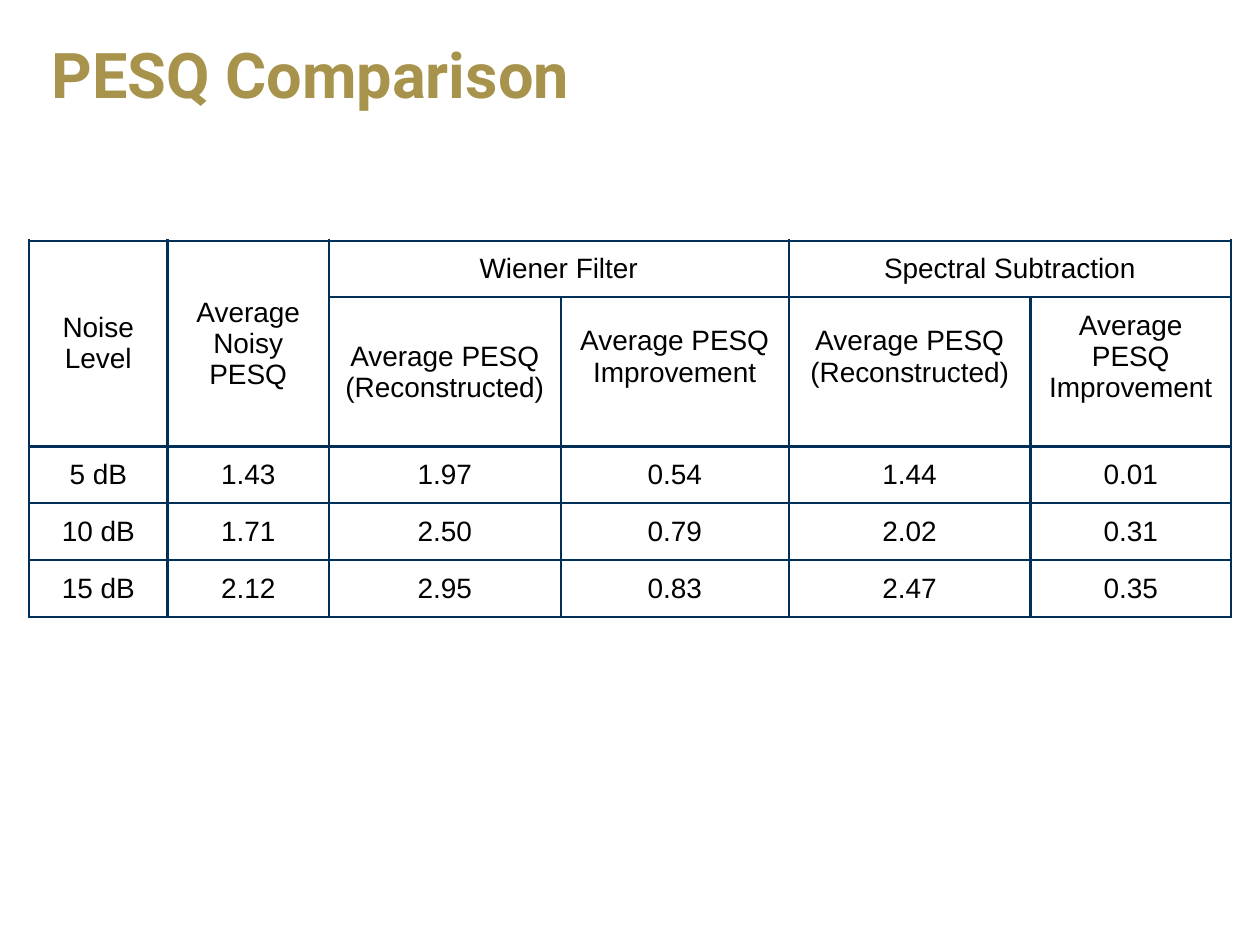
from dataclasses import dataclass

from lxml import etree
from pptx import Presentation
from pptx import util as u
from pptx.dml.color import RGBColor
from pptx.enum import text
from pptx.oxml import ns

GOLD = RGBColor(0xA7, 0x93, 0x4B)
NAVY = RGBColor(0x00, 0x30, 0x57)
BLACK = RGBColor(0, 0, 0)
WHITE = RGBColor(255, 255, 255)

SLIDE_WIDTH, SLIDE_HEIGHT = u.Inches(10), u.Inches(7.5)
COLUMN_SHARES = (0.11, 0.128, 0.184, 0.181, 0.192, 0.159)
ROW_SHARES = (0.06, 0.158, 0.06, 0.06, 0.06)
BORDER_WIDTH = u.Pt(1.5)
PADDING = u.Inches(0.1)
RAISED = u.Inches(0.34)

TITLE_FONT = {"name": "Roboto", "size": u.Pt(36), "bold": True}
CELL_FONT = {"name": "Arial", "size": u.Pt(16), "bold": False}
CELL_LAYOUT = {
    "margin_left": PADDING, "margin_right": PADDING,
    "margin_top": PADDING, "margin_bottom": PADDING,
    "vertical_anchor": text.MSO_ANCHOR.MIDDLE,
}
TITLE_LAYOUT = {
    "margin_left": PADDING, "margin_right": PADDING,
    "margin_top": u.Inches(0.05), "margin_bottom": u.Inches(0.05),
    "vertical_anchor": text.MSO_ANCHOR.TOP, "word_wrap": True,
    "auto_size": text.MSO_AUTO_SIZE.NONE,
}


@dataclass(frozen=True)
class Heading:
    label: str
    row: int
    column: int
    rows: int = 1
    columns: int = 1
    bottom: int = PADDING


RECONSTRUCTED = "Average PESQ (Reconstructed)"
IMPROVEMENT = "Average PESQ Improvement"
HEADINGS = (
    Heading("Noise Level", 0, 0, rows=2),
    Heading("Average Noisy PESQ", 0, 1, rows=2),
    Heading("Wiener Filter", 0, 2, columns=2),
    Heading("Spectral Subtraction", 0, 4, columns=2),
    Heading(RECONSTRUCTED, 1, 2),
    Heading(IMPROVEMENT, 1, 3, bottom=RAISED),
    Heading(RECONSTRUCTED, 1, 4, bottom=RAISED),
    Heading(IMPROVEMENT, 1, 5, bottom=RAISED),
)
RESULTS = (
    ("5 dB", "1.43", "1.97", "0.54", "1.44", "0.01"),
    ("10 dB", "1.71", "2.50", "0.79", "2.02", "0.31"),
    ("15 dB", "2.12", "2.95", "0.83", "2.47", "0.35"),
)


def apply(target, values: dict) -> None:
    for name, value in values.items():
        setattr(target, name, value)


def write(frame, label: str, font: dict, color: RGBColor, align) -> None:
    para = frame.paragraphs[0]
    para.alignment = align
    span = para.add_run()
    span.text = label
    apply(span.font, font)
    span.font.color.rgb = color


def add_borders(cell) -> None:
    properties = cell._tc.get_or_add_tcPr()
    for position, side in enumerate(("lnL", "lnR", "lnT", "lnB")):
        line = etree.Element(ns.qn(f"a:{side}"), w=str(BORDER_WIDTH))
        fill = etree.SubElement(line, ns.qn("a:solidFill"))
        etree.SubElement(fill, ns.qn("a:srgbClr"), val=str(NAVY))
        properties.insert(position, line)


def add_title(page, label: str) -> None:
    title = page.shapes.title
    apply(title, {
        "left": int(SLIDE_WIDTH * 0.031), "top": int(SLIDE_HEIGHT * 0.031),
        "width": int(SLIDE_WIDTH * 0.938), "height": int(SLIDE_HEIGHT * 0.147),
    })
    apply(title.text_frame, TITLE_LAYOUT)
    write(title.text_frame, label, TITLE_FONT, GOLD, text.PP_ALIGN.LEFT)


def add_results(page) -> None:
    widths = [int(SLIDE_WIDTH * share) for share in COLUMN_SHARES]
    heights = [int(SLIDE_HEIGHT * share) for share in ROW_SHARES]
    table = page.shapes.add_table(
        len(heights), len(widths), u.Inches(0.23), u.Inches(1.91),
        sum(widths), sum(heights),
    ).table
    apply(table, {"first_row": False, "horz_banding": False})
    for column, width in zip(table.columns, widths):
        column.width = width
    for row, height in zip(table.rows, heights):
        row.height = height

    for cell in table.iter_cells():
        apply(cell, CELL_LAYOUT)
        cell.fill.solid()
        cell.fill.fore_color.rgb = WHITE
        add_borders(cell)

    results = tuple(
        Heading(value, row, column)
        for row, values in enumerate(RESULTS, start=2)
        for column, value in enumerate(values)
    )
    for item in HEADINGS + results:
        cell = table.cell(item.row, item.column)
        if item.rows * item.columns > 1:
            cell.merge(table.cell(item.row + item.rows - 1,
                                  item.column + item.columns - 1))
        cell.margin_bottom = item.bottom
        write(cell.text_frame, item.label, CELL_FONT, BLACK, text.PP_ALIGN.CENTER)


def main() -> None:
    deck = Presentation()
    apply(deck, {"slide_width": SLIDE_WIDTH, "slide_height": SLIDE_HEIGHT})
    page = deck.slides.add_slide(deck.slide_layouts[5])
    add_title(page, "PESQ Comparison")
    add_results(page)
    deck.save("out.pptx")


if __name__ == "__main__":
    main()
